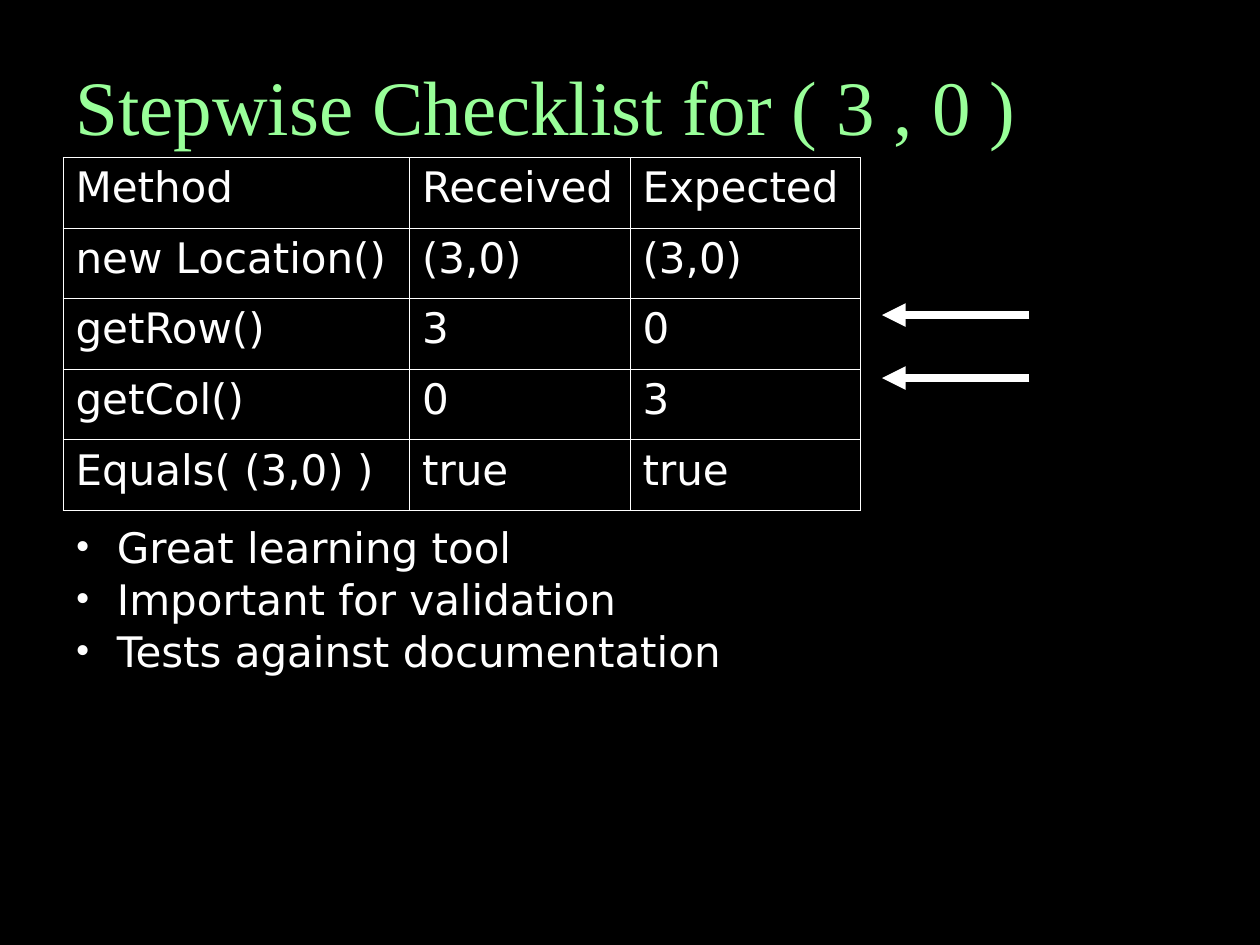
import lxml.etree
import pptx
import pptx.dml.color
import pptx.enum.shapes
import pptx.enum.text
import pptx.oxml.ns
import pptx.util

Inches = pptx.util.Inches
Pt = pptx.util.Pt
qn = pptx.oxml.ns.qn

COLOURS = {"background": "000000", "title": "99FF99", "body": "FFFFFF"}
TITLE_FORMAT = {"name": "Times New Roman", "size": Pt(44)}
BODY_FORMAT = {"name": "DejaVu Sans", "size": Pt(24)}

CHECKLIST = [
    ["Method", "Received", "Expected"],
    ["new Location()", "(3,0)", "(3,0)"],
    ["getRow()", "3", "0"],
    ["getCol()", "0", "3"],
    ["Equals( (3,0) )", "true", "true"],
]
BENEFITS = ["Great learning tool", "Important for validation", "Tests against documentation"]


def rgb(role):
    return pptx.dml.color.RGBColor.from_string(COLOURS[role])


class ChecklistSlide:
    def __init__(self, slide):
        self.slide = slide
        slide.background.fill.solid()
        slide.background.fill.fore_color.rgb = rgb("background")

    def set_text(self, paragraph, text, font_format, role):
        paragraph.text = text
        for name, value in font_format.items():
            setattr(paragraph.font, name, value)
        paragraph.font.color.rgb = rgb(role)

    def text_frame(self, left, top, width, height):
        box = self.slide.shapes.add_textbox(
            Inches(left), Inches(top), Inches(width), Inches(height))
        box.text_frame.word_wrap = True
        return box.text_frame

    def title(self, text, *place):
        frame = self.text_frame(*place)
        frame.vertical_anchor = pptx.enum.text.MSO_ANCHOR.BOTTOM
        self.set_text(frame.paragraphs[0], text, TITLE_FORMAT, "title")

    def bullets(self, items, *place):
        frame = self.text_frame(*place)
        for index, item in enumerate(items):
            paragraph = frame.add_paragraph() if index else frame.paragraphs[0]
            properties = paragraph._p.get_or_add_pPr()
            properties.set("marL", str(Inches(0.33)))
            properties.set("indent", str(-Inches(0.33)))
            bullet_font = lxml.etree.SubElement(properties, qn("a:buFont"))
            bullet_font.set("typeface", "Times New Roman")
            lxml.etree.SubElement(properties, qn("a:buChar")).set("char", "•")
            paragraph.line_spacing = 1.03
            self.set_text(paragraph, item, BODY_FORMAT, "body")

    def border(self, cell):
        """Draw a thin line on all four sides of the cell."""
        properties = cell._tc.get_or_add_tcPr()
        for index, side in enumerate("LRTB"):
            line = lxml.etree.Element(qn(f"a:ln{side}"), w=str(Pt(0.45)))
            fill = lxml.etree.SubElement(line, qn("a:solidFill"))
            lxml.etree.SubElement(fill, qn("a:srgbClr")).set("val", COLOURS["body"])
            properties.insert(index, line)

    def table(self, rows, left, top, column_widths, row_height):
        table = self.slide.shapes.add_table(
            len(rows), len(column_widths), Inches(left), Inches(top),
            Inches(sum(column_widths)), Inches(row_height * len(rows))).table
        table.first_row = table.horz_banding = False
        for column, width in zip(table.columns, column_widths):
            column.width = Inches(width)
        for row, texts in zip(table.rows, rows):
            for cell, text in zip(row.cells, texts):
                cell.fill.background()
                self.border(cell)
                self.set_text(cell.text_frame.paragraphs[0], text, BODY_FORMAT, "body")

    def arrow(self, start, end, y):
        arrow = self.slide.shapes.add_connector(
            pptx.enum.shapes.MSO_CONNECTOR.STRAIGHT,
            Inches(start), Inches(y), Inches(end), Inches(y))
        arrow.line.color.rgb = rgb("body")
        arrow.line.width = Pt(4.5)
        outline = arrow._element.spPr.find(qn("a:ln"))
        lxml.etree.SubElement(outline, qn("a:tailEnd")).set("type", "triangle")
        lxml.etree.SubElement(arrow._element.spPr, qn("a:effectLst"))


def main():
    presentation = pptx.Presentation()
    presentation.slide_width = Inches(10)
    presentation.slide_height = Inches(7.5)
    checklist = ChecklistSlide(presentation.slides.add_slide(presentation.slide_layouts[6]))

    checklist.title("Stepwise Checklist for ( 3 , 0 )", 0.5, 0, 9, 1.25)
    checklist.table(CHECKLIST, 0.5, 1.25, [2.75, 1.75, 1.83], 0.56)
    for mismatch_y in (2.5, 3):
        checklist.arrow(8.17, 7, mismatch_y)
    checklist.bullets(BENEFITS, 0.5, 4.08, 9.25, 1.3)
    presentation.save("out.pptx")


if __name__ == "__main__":
    main()
